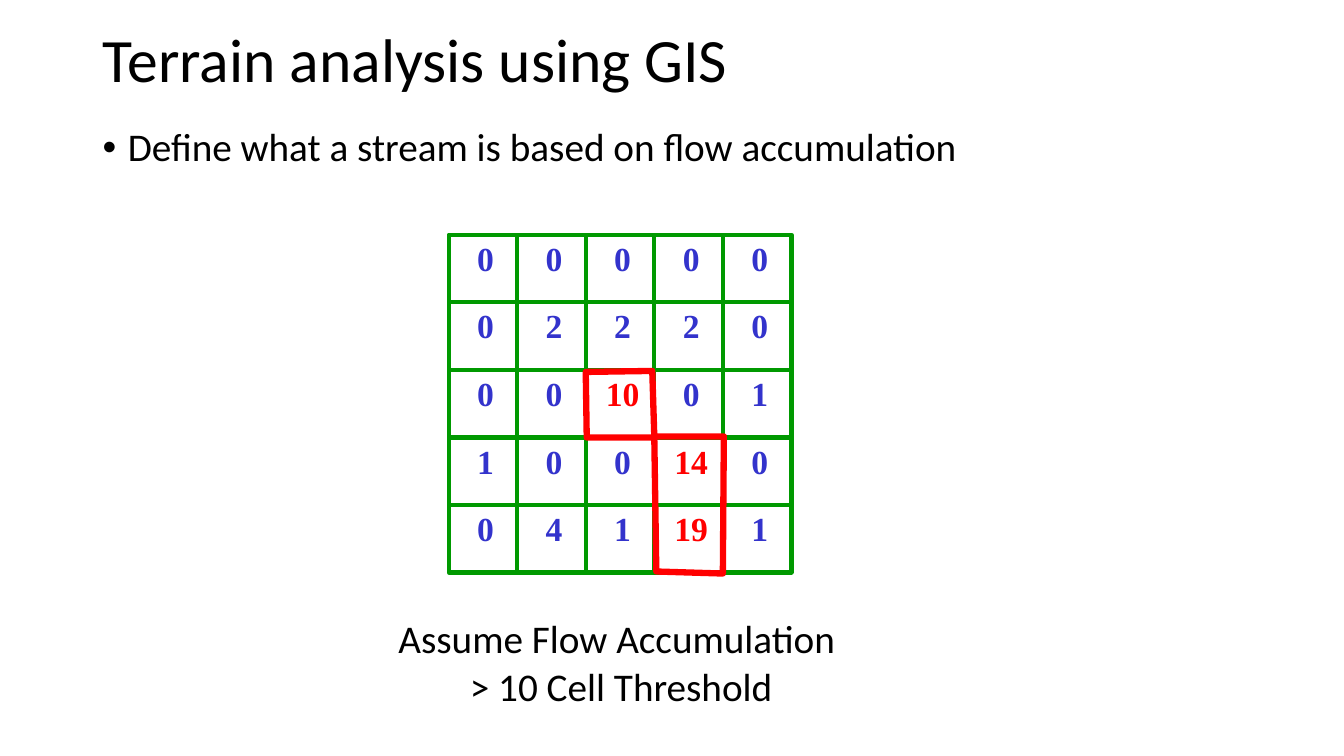
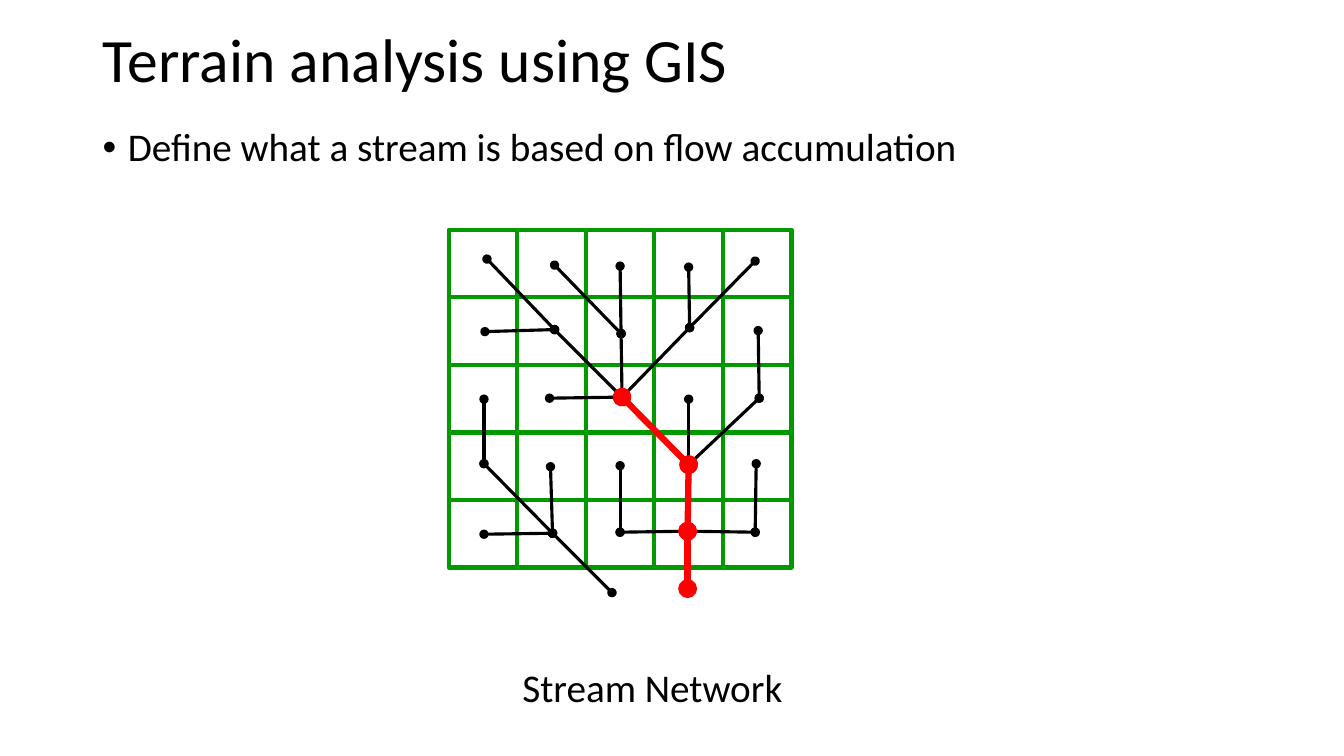
from lxml import etree
from pptx import Presentation
from pptx.dml.color import RGBColor
from pptx.enum.shapes import MSO_CONNECTOR, MSO_SHAPE
from pptx.enum.text import MSO_ANCHOR, MSO_AUTO_SIZE, PP_ALIGN
from pptx.oxml.ns import qn
from pptx.util import Pt

PX = 9144  # 100 px to the inch
LEFT, CENTER = PP_ALIGN.LEFT, PP_ALIGN.CENTER
TOP, MIDDLE = MSO_ANCHOR.TOP, MSO_ANCHOR.MIDDLE
RECT, STRAIGHT = MSO_SHAPE.RECTANGLE, MSO_CONNECTOR.STRAIGHT
NO_FIT = MSO_AUTO_SIZE.NONE

BLACK = RGBColor(0x00, 0x00, 0x00)
GREEN = RGBColor(0x00, 0x99, 0x00)
BLUE = RGBColor(0x33, 0x33, 0xCC)
RED = RGBColor(0xFF, 0x00, 0x00)
SANS, SERIF = "Calibri", "Times New Roman"

TITLE = "Terrain analysis using GIS"
POINT = "Define what a stream is based on flow accumulation"
CELL_W, CELL_H = 68, 67
LIMIT = 10
COUNTS = [
    [0, 0, 0, 0, 0],
    [0, 2, 2, 2, 0],
    [0, 0, 10, 0, 1],
    [1, 0, 0, 14, 0],
    [0, 4, 1, 19, 1],
]
FLOW = ["↘↘↓↓↙", "→↘↓↙↓", "↓→↘↓↙", "↘↓↓↓↓", "→↘→↓←"]
STEPS = {"→": (0, 1), "←": (0, -1), "↓": (1, 0), "↘": (1, 1), "↙": (1, -1)}
# Node of each cell, then the outlets below the grid
NODES = [
    [(38, 29), (105, 35), (170, 36), (238, 37), (304, 31)],
    [(36, 101), (105, 99), (171, 103), (239, 97), (307, 100)],
    [(35, 168), (100, 167), (172, 166), (238, 168), (308, 167)],
    [(35, 232), (101, 235), (170, 234), (238, 233), (305, 232)],
    [(35, 302), (103, 301), (170, 300), (237, 299), (304, 300)],
    [None, None, (162, 360), (237, 356)],
]
OUTLINE = [(136, 136), (202, 135), (204, 200), (273, 200),
           (272, 336), (206, 334), (204, 201), (137, 201)]


def emu(*vals):
    return [val * PX for val in vals]


def style(para, name, size, color, align=LEFT, bold=False):
    para.alignment = align
    font = para.font
    font.name, font.size, font.bold = name, Pt(size), bold
    font.color.rgb = color


def add_text(slide, box, text, align=LEFT):
    area = slide.shapes.add_textbox(*emu(*box))
    frame = area.text_frame
    frame.word_wrap = True
    frame.text = text
    para = frame.paragraphs[0]
    style(para, SANS, 28, BLACK, align)
    return para


def add_bullet(para):
    props = para._p.get_or_add_pPr()
    props.set("marL", str(25 * PX))
    props.set("indent", str(-25 * PX))
    mark = etree.Element(qn("a:buChar"), char="•")
    font = etree.Element(qn("a:buFont"), typeface="Arial")
    props.insert_element_before(font, "a:tabLst", "a:defRPr", "a:extLst")
    props.insert_element_before(mark, "a:tabLst", "a:defRPr", "a:extLst")


def add_slide(deck):
    """Add a slide with the shared title and bullet."""
    slide = deck.slides.add_slide(deck.slide_layouts[5])
    title = slide.shapes.title
    title.left, title.top, title.width, title.height = emu(92, 2, 1150, 120)
    frame = title.text_frame
    frame.text = TITLE
    frame.auto_size, frame.vertical_anchor = NO_FIT, MIDDLE
    head = frame.paragraphs[0]
    head.line_spacing = 0.9
    style(head, SANS, 44, BLACK)
    point = add_text(slide, (92, 122, 1153, 88), POINT)
    point.line_spacing = 0.9
    add_bullet(point)
    return slide


def is_stream(row, col):
    return COUNTS[row][col] >= LIMIT


def add_grid(slide, left, top, counts=False):
    """Draw the cells as one group, with their counts if asked."""
    group = slide.shapes.add_group_shape().shapes
    for row, vals in enumerate(COUNTS):
        for col, val in enumerate(vals):
            cell = group.add_shape(RECT, *emu(
                left + col * CELL_W, top + row * CELL_H, CELL_W, CELL_H))
            cell.shadow.inherit = False
            cell.fill.background()
            cell.line.color.rgb, cell.line.width = GREEN, Pt(3)
            if counts:
                frame = cell.text_frame
                frame.margin_left, frame.margin_right = emu(5, 0)
                frame.margin_top, frame.margin_bottom = emu(3, 0)
                frame.vertical_anchor, frame.word_wrap = TOP, False
                frame.text = str(val)
                color = RED if is_stream(row, col) else BLUE
                style(frame.paragraphs[0], SERIF, 24, color, CENTER, True)


def add_outline(slide, left, top):
    spots = [(left + x, top + y) for x, y in OUTLINE]
    path = slide.shapes.build_freeform(*spots[0], scale=PX)
    path.add_line_segments(spots[1:], close=True)
    shape = path.convert_to_shape()
    shape.shadow.inherit = False
    shape.fill.background()
    shape.line.color.rgb, shape.line.width = RED, Pt(4.5)


def add_flow(group, start, end, color, width):
    line = group.add_connector(STRAIGHT, *emu(*start, *end))
    line.line.color.rgb, line.line.width = color, Pt(width)
    stroke = line.line._get_or_add_ln()
    for tag in ("a:headEnd", "a:tailEnd"):
        etree.SubElement(stroke, qn(tag), type="oval")
    etree.SubElement(line._element.spPr, qn("a:effectLst"))


def add_network(slide, left, top):
    """Join each cell to the one it drains to, streams on top."""
    group = slide.shapes.add_group_shape().shapes
    cells = [(row, col) for row in range(5) for col in range(5)]
    for row, col in sorted(cells, key=lambda cell: is_stream(*cell)):
        down, side = STEPS[FLOW[row][col]]
        ends = [(left + x, top + y) for x, y in
                (NODES[row][col], NODES[row + down][col + side])]
        look = (RED, 4.5) if is_stream(row, col) else (BLACK, 2.25)
        add_flow(group, *ends, *look)


def add_counts(deck):
    slide = add_slide(deck)
    add_grid(slide, 445, 233, counts=True)
    add_outline(slide, 445, 233)
    add_text(slide, (336, 605, 560, 104),
             "Assume Flow Accumulation \v> 10 Cell Threshold", CENTER)


def add_streams(deck):
    slide = add_slide(deck)
    add_grid(slide, 445, 228)
    add_network(slide, 445, 228)
    add_text(slide, (367, 653, 560, 57), "Stream Network", CENTER)


def main():
    deck = Presentation()
    deck.slide_width, deck.slide_height = emu(1333, 750)
    add_counts(deck)
    add_streams(deck)
    deck.save("out.pptx")


if __name__ == "__main__":
    main()
